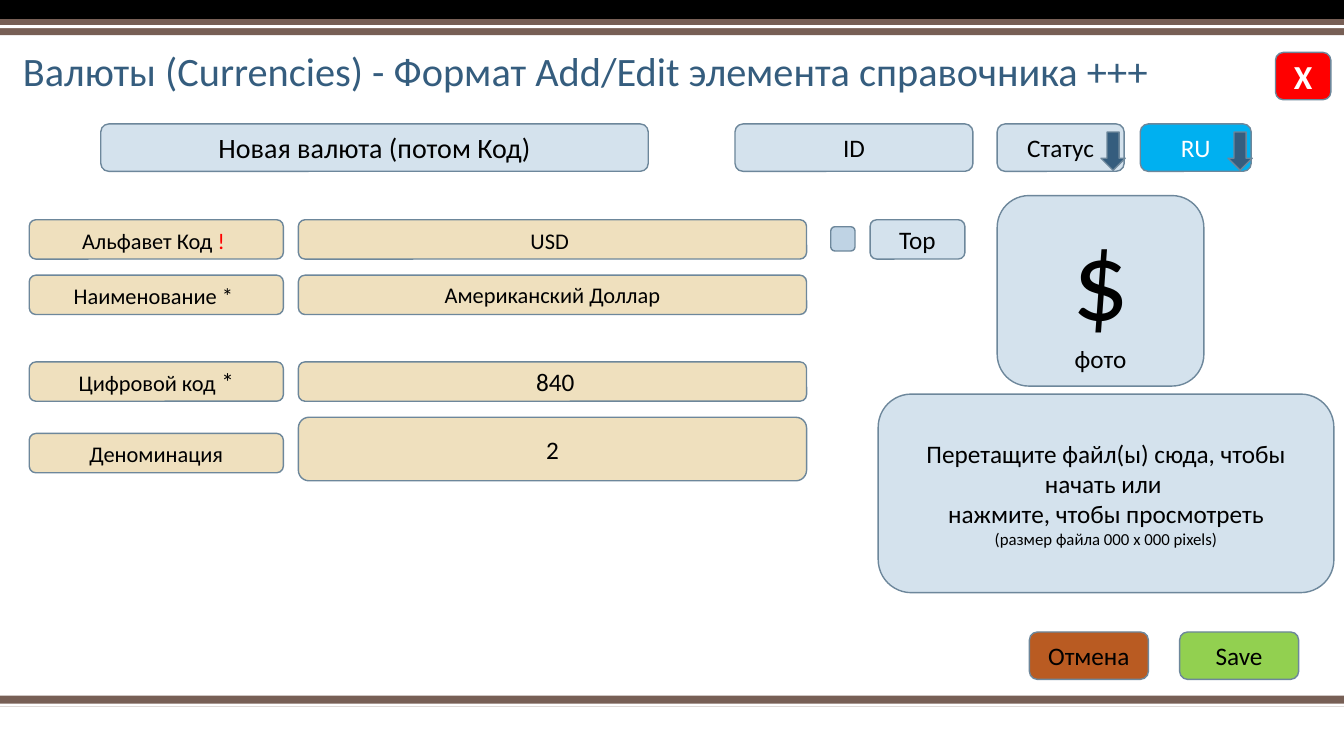
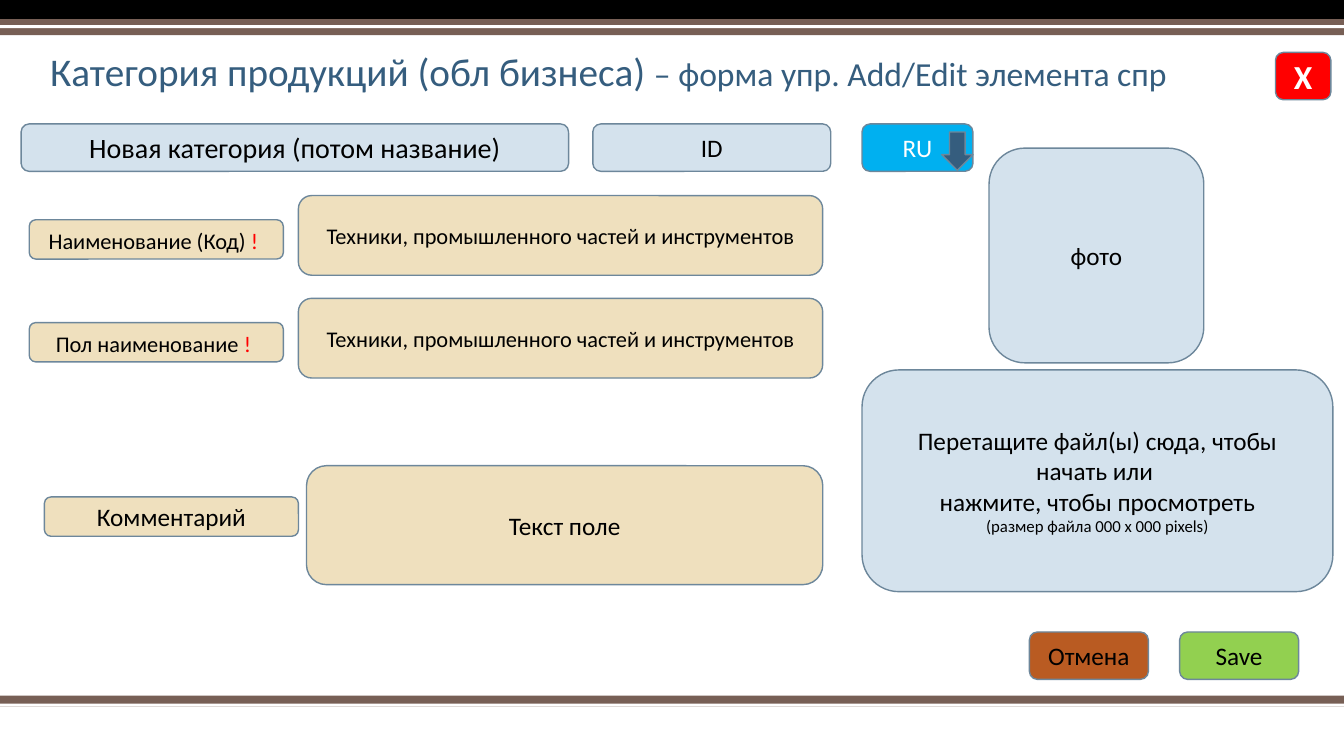
from dataclasses import dataclass

from pptx import Presentation
from pptx.dml.color import RGBColor
from pptx.enum.shapes import MSO_SHAPE
from pptx.enum.text import MSO_ANCHOR, PP_ALIGN
from pptx.util import Inches, Pt

RECTANGLE = MSO_SHAPE.RECTANGLE
ROUNDED = MSO_SHAPE.ROUNDED_RECTANGLE
DOWN_ARROW = MSO_SHAPE.DOWN_ARROW
MIDDLE, BOTTOM = MSO_ANCHOR.MIDDLE, MSO_ANCHOR.BOTTOM
CENTER = PP_ALIGN.CENTER

FONT = "Calibri"
BLACK, WHITE, RED = "000000", "FFFFFF", "FF0000"
BROWN, NAVY, OUTLINE = "775F55", "355D7E", "6D879B"
PALE_BLUE, MID_BLUE, SKY = "D4E2ED", "BFD3E4", "00B0F0"
SAND, RUST, GREEN = "EFE0BE", "B95B22", "92D050"

SLIDE_WIDTH, SLIDE_HEIGHT = 13.33, 7.5
HEADER_TOP, HEADER_HEIGHT = 1.23, 0.47
LABEL_LEFT, LABEL_WIDTH, ROW_HEIGHT = 0.29, 2.52, 0.39
VALUE_LEFT = 2.96


@dataclass(frozen=True)
class Span:
    text: str
    size: float = 18
    color: str = BLACK
    bold: bool = False


@dataclass(frozen=True)
class Box:
    left: float
    top: float
    width: float
    height: float
    lines: tuple[tuple[Span, ...], ...] = ()
    fill: str = PALE_BLUE


@dataclass(frozen=True)
class Band:
    top: float
    height: float
    color: str


BANDS = (
    Band(6.9, 0.11, BROWN),
    Band(6.98, 0.03, WHITE),
    Band(0, 0.19, BLACK),
    Band(0.19, 0.16, BROWN),
    Band(0.25, 0.03, WHITE),
)


def rgb(color: str) -> RGBColor:
    return RGBColor.from_string(color)


def line(text: str, size: float = 18, color: str = BLACK, bold: bool = False):
    """One line of text in a single style."""
    return ((Span(text, size, color, bold),),)


def required(text: str):
    """A field label that ends in a red mark."""
    return ((Span(text + " ", 16), Span("!", 16, RED), Span(" ")),)


def header(left: float, width: float, lines, fill: str = PALE_BLUE) -> Box:
    return Box(left, HEADER_TOP, width, HEADER_HEIGHT, lines, fill)


def label(top: float, lines, left: float = LABEL_LEFT) -> Box:
    return Box(left, top, LABEL_WIDTH, ROW_HEIGHT, lines, SAND)


def value(top: float, width: float, height: float, lines, left: float = VALUE_LEFT) -> Box:
    return Box(left, top, width, height, lines, SAND)


def write_lines(frame, lines) -> None:
    frame.word_wrap = True
    for index, spans in enumerate(lines):
        para = frame.add_paragraph() if index else frame.paragraphs[0]
        for span in spans:
            run = para.add_run()
            run.text = span.text
            run.font.name = FONT
            run.font.size = Pt(span.size)
            run.font.bold = span.bold
            run.font.color.rgb = rgb(span.color)


def add_figure(page, preset, box: Box, outlined: bool = True):
    shape = page.shapes.add_shape(
        preset, Inches(box.left), Inches(box.top), Inches(box.width), Inches(box.height))
    shape.shadow.inherit = False
    shape.fill.solid()
    shape.fill.fore_color.rgb = rgb(box.fill)
    if outlined:
        shape.line.color.rgb = rgb(OUTLINE)
        shape.line.width = Pt(1)
    else:
        shape.line.fill.background()
    write_lines(shape.text_frame, box.lines)
    shape.text_frame.vertical_anchor = MIDDLE
    for para in shape.text_frame.paragraphs:
        para.alignment = CENTER


def add_arrow(page, left: float, width: float = 0.24) -> None:
    add_figure(page, DOWN_ARROW, Box(left, 1.31, width, 0.38, fill=NAVY))


def add_page(deck, title_left: float, title_width: float, title: tuple[Span, ...]):
    """A form page with bands, title, close button and bottom buttons."""
    page = deck.slides.add_slide(deck.slide_layouts[6])
    for band in BANDS:
        add_figure(page, RECTANGLE,
                   Box(0, band.top, SLIDE_WIDTH, band.height, fill=band.color), False)
    text_box = page.shapes.add_textbox(
        Inches(title_left), Inches(0.36), Inches(title_width), Inches(0.63))
    write_lines(text_box.text_frame, (title,))
    text_box.text_frame.vertical_anchor = BOTTOM
    text_box.text_frame.paragraphs[0].line_spacing = 0.9
    for box in (
        Box(12.65, 0.52, 0.55, 0.47, line("Х", 24, WHITE, True), RED),
        Box(10.21, 6.27, 1.18, 0.47, line("Отмена"), RUST),
        Box(11.7, 6.27, 1.18, 0.47, line("Save"), GREEN),
    ):
        add_figure(page, ROUNDED, box)
    return page


def add_boxes(page, boxes: tuple[Box, ...]) -> None:
    for box in boxes:
        add_figure(page, ROUNDED, box)


DROP_HINT = (
    line("Перетащите файл(ы) сюда, чтобы начать или ")
    + line("нажмите, чтобы просмотреть")
    + line("(размер файла 000 x 000 pixels)", 12)
)
LANGUAGE = line("RU", color=WHITE)


def add_currency_page(deck) -> None:
    page = add_page(deck, 0.13, 11.97, (
        Span("Валюты (Currencies) - Формат Add/Edit элемента справочника +++", 28.8, NAVY),))
    width = 5.04
    add_boxes(page, (
        # Header row
        header(1, 5.43, line("Новая валюта (потом Код)", 20)),
        header(7.29, 2.36, line("ID")),
        header(9.89, 1.26, line("Статус")),
        header(11.31, 1.1, LANGUAGE, SKY),
        # Fields
        label(2.18, required("Альфавет Код")),
        value(2.18, width, ROW_HEIGHT, ((Span("USD", 16), Span(" ")),)),
        label(2.73, ((Span("Наименование *", 16), Span(" ")),)),
        value(2.73, width, ROW_HEIGHT, line("Американский Доллар", 16)),
        label(3.59, ((Span("Цифровой код", 16), Span(" *")),)),
        value(3.59, width, ROW_HEIGHT, line(" 840")),
        label(4.3, line("Деноминация", 16)),
        value(4.14, width, 0.63, line("2")),
        # Check box with its caption
        Box(8.24, 2.25, 0.24, 0.24, fill=MID_BLUE),
        Box(8.63, 2.18, 0.94, ROW_HEIGHT, line("Тор")),
        # Photo and drop area
        Box(9.89, 1.94, 2.05, 1.89, line("$", 80) + line("фото")),
        Box(8.71, 3.91, 4.52, 1.97, DROP_HINT),
    ))
    for left in (10.92, 12.18):
        add_arrow(page, left)


def add_category_page(deck) -> None:
    page = add_page(deck, 0.4, 11.54, (
        Span("Категория продукций (обл бизнеса) ", 28, NAVY),
        Span("– форма упр. Add/Edit элемента спр", 24, NAVY)))
    category = line("Техники, промышленного частей и инструментов", 16)
    add_boxes(page, (
        # Header row
        header(0.21, 5.43, line("Новая категория (потом название)", 20)),
        header(5.88, 2.36, line("ID")),
        header(8.55, 1.1, LANGUAGE, SKY),
        # Fields
        label(2.18, required("Наименование (Код)")),
        value(1.94, 5.2, 0.79, category),
        label(3.2, required("Пол наименование")),
        value(2.96, 5.2, 0.79, category),
        label(4.93, line("Комментарий"), 0.44),
        value(4.62, 5.12, 1.18, line("Текст поле"), 3.04),
        # Photo and drop area
        Box(9.81, 1.47, 2.13, 2.13, line("фото")),
        Box(8.55, 3.67, 4.67, 2.2, DROP_HINT),
    ))
    add_arrow(page, 9.34, 0.31)


def main() -> None:
    deck = Presentation()
    deck.slide_width = Inches(SLIDE_WIDTH)
    deck.slide_height = Inches(SLIDE_HEIGHT)
    add_currency_page(deck)
    add_category_page(deck)
    deck.save("out.pptx")


if __name__ == "__main__":
    main()
